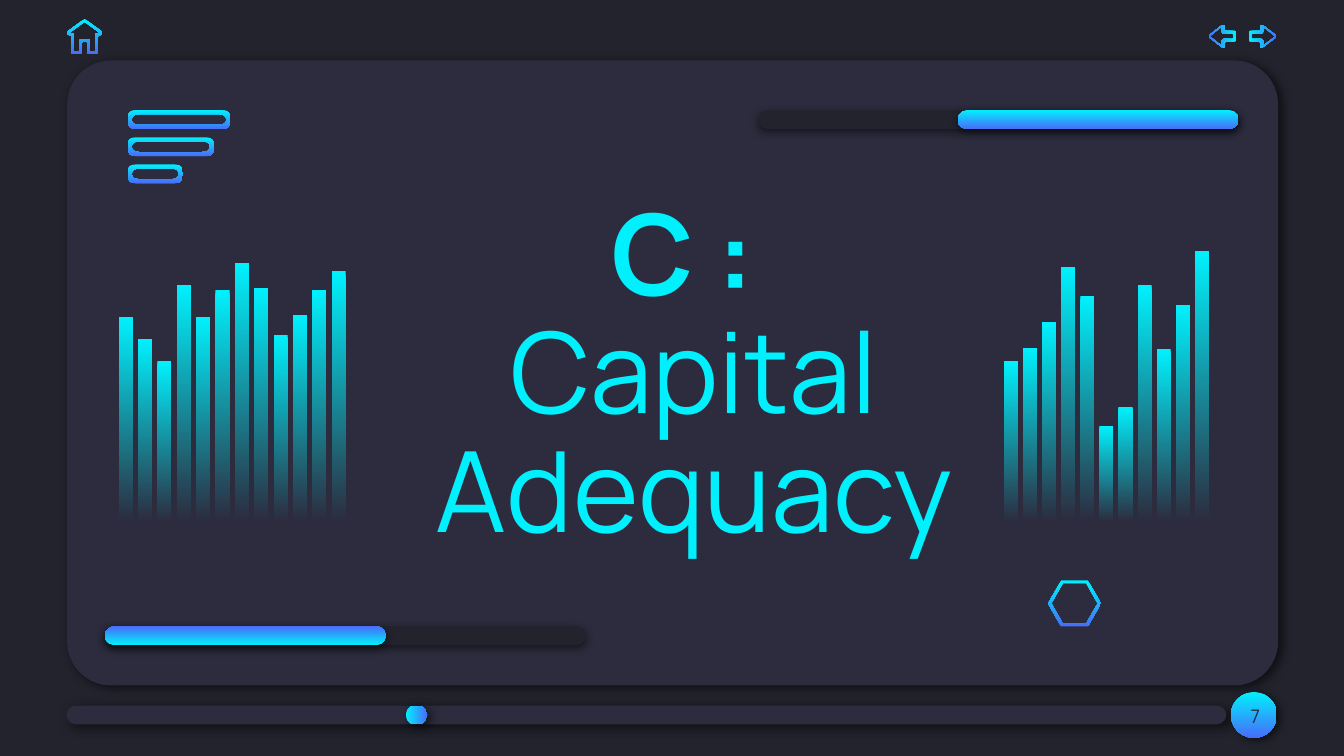
import math

from lxml import etree
from pptx import Presentation
from pptx.dml.color import RGBColor
from pptx.enum import shapes, text
from pptx.oxml.ns import qn
from pptx.util import Inches, Pt

COLUMNS, ROWS = 100, 56.25
CELL = Inches(10) / COLUMNS
NIGHT, PANEL, CYAN, BLUE = "23232E", "2C2C3E", "01F0FD", "476DFA"
FONT = "Manrope"
SOFT = (60, 5.6, 2.2, 33)
BADGE = (60, 4.5, 2.2, 33)
DROP = (50, 4.5, 1.5, 90)
DOWN, UP, RIGHT, LEFT = 270, 90, 0, 180


def cells(count):
    return round(count * CELL)


def color(code):
    return RGBColor.from_string(code)


def rounded(corners, radius, steps=4):
    outline = []
    for i, corner in enumerate(corners):
        ends = []
        for other in (corners[i - 1], corners[(i + 1) % len(corners)]):
            share = min(0.5, radius / math.dist(corner, other))
            ends.append([c + (o - c) * share for c, o in zip(corner, other)])
        for step in range(steps + 1):
            t = step / steps
            outline.append(tuple(
                (1 - t) ** 2 * a + 2 * t * (1 - t) * c + t ** 2 * b
                for a, c, b in zip(ends[0], corner, ends[1])))
    return outline


def box(x, y, width, height):
    return [(x, y), (x + width, y), (x + width, y + height), (x, y + height)]


def mirrored(half, axis):
    return ([(axis + x, y) for x, y in half]
            + [(axis - x, y) for x, y in reversed(half) if x])


class Deck:
    def __init__(self):
        self.deck = Presentation()
        self.deck.slide_width = cells(COLUMNS)
        self.deck.slide_height = cells(ROWS)
        self.slide = self.deck.slides.add_slide(self.deck.slide_layouts[6])
        self.slide.background.fill.solid()
        self.slide.background.fill.fore_color.rgb = color(NIGHT)

    def paint(self, shape, fill, angle=DOWN, shadow=None):
        shape.line.fill.background()
        shape.shadow.inherit = False
        if isinstance(fill, str):
            shape.fill.solid()
            shape.fill.fore_color.rgb = color(fill)
        else:
            shape.fill.gradient()
            shape.fill.gradient_angle = angle
            for stop, code, position in zip(shape.fill.gradient_stops, fill, (0, 1)):
                stop.color.rgb = color(code)
                stop.position = position
        if shadow:
            alpha, blur, distance, direction = shadow
            effects = shape._element.spPr.find(qn("a:effectLst"))
            outer = etree.SubElement(
                effects, qn("a:outerShdw"), blurRad=str(Pt(blur)), dist=str(Pt(distance)),
                dir=str(direction * 60000), algn="bl", rotWithShape="0")
            tint = etree.SubElement(outer, qn("a:srgbClr"), val="000000")
            etree.SubElement(tint, qn("a:alpha"), val=str(alpha * 1000))

    def block(self, kind, place, fill, angle=DOWN, shadow=None, rounding=None):
        shape = self.slide.shapes.add_shape(kind, *map(cells, place))
        if rounding is not None:
            shape.adjustments[0] = rounding
        self.paint(shape, fill, angle, shadow)

    def pill(self, place, fill, angle=DOWN, shadow=DROP):
        self.block(shapes.MSO_SHAPE.ROUNDED_RECTANGLE, place, fill, angle, shadow, 0.5)

    def ring(self, outer, inner, angle=DOWN, radius=0):
        outlines = [rounded(line, radius) if radius else line for line in (outer, inner)]
        outer, inner = [[(cells(x), cells(y)) for x, y in line] for line in outlines]
        builder = self.slide.shapes.build_freeform(*outer[0])
        builder.add_line_segments(outer[1:])
        builder.move_to(*inner[0])
        builder.add_line_segments(inner[1:])
        self.paint(builder.convert_to_shape(), (CYAN, BLUE), angle)

    def equalizer(self, left, step, tops, base=38.82):
        for i, top in enumerate(tops):
            self.block(shapes.MSO_SHAPE.RECTANGLE,
                       (left + i * step, top, 1.05, base - top), (CYAN, PANEL))

    def label(self, place, lines, size, code, spacing=1):
        frame = self.slide.shapes.add_textbox(*map(cells, place)).text_frame
        frame.word_wrap = True
        frame.vertical_anchor = text.MSO_ANCHOR.MIDDLE
        frame.margin_left = frame.margin_right = cells(1)
        frame.margin_top = frame.margin_bottom = cells(1)
        for i, (words, bold) in enumerate(lines):
            paragraph = frame.add_paragraph() if i else frame.paragraphs[0]
            paragraph.text = words
            paragraph.alignment = text.PP_ALIGN.CENTER
            paragraph.line_spacing = spacing
            paragraph.font.name = FONT
            paragraph.font.size = Pt(size)
            paragraph.font.bold = bold
            paragraph.font.color.rgb = color(code)


def main():
    deck = Deck()
    deck.block(shapes.MSO_SHAPE.ROUNDED_RECTANGLE, (5, 4.5, 90.1, 46.5), PANEL,
               shadow=SOFT, rounding=0.07)
    deck.pill((4.95, 52.5, 86.3, 1.4), PANEL, shadow=SOFT)
    deck.block(shapes.MSO_SHAPE.OVAL, (91.6, 51.5, 3.4, 3.4), (CYAN, BLUE), shadow=BADGE)
    deck.label((90.4, 51.1, 6, 4.3), [("7", False)], 10, PANEL)
    deck.label((24.5, 20.1, 54.3, 16.1), [("C : ", True), ("Capital Adequacy", False)],
               60, CYAN, 0.88)

    arrow_outer = [(-0.9, 2.3), (0, 2.3), (0, 1.75), (1.25, 2.7), (0, 3.65), (0, 3.1), (-0.9, 3.1)]
    arrow_inner = [(-0.7, 2.5), (0.2, 2.5), (0.2, 2), (1.1, 2.7), (0.2, 3.4), (0.2, 2.9), (-0.7, 2.9)]
    for axis, side, angle in ((93.8, 1, RIGHT), (91.1, -1, LEFT)):
        outer, inner = [[(axis + side * x, y) for x, y in line]
                        for line in (arrow_outer, arrow_inner)]
        deck.ring(outer, inner, angle, 0.2)

    deck.equalizer(74.7, 1.42, (26.9, 25.9, 24, 19.9, 22, 31.7, 30.3, 21.2, 26, 22.7, 18.7))
    deck.equalizer(8.83, 1.44, (23.6, 25.2, 26.9, 21.2, 23.6, 21.6, 19.6, 21.4,
                                24.9, 23.4, 21.6, 20.2))

    for i, width in enumerate((7.64, 6.42, 4.1)):
        top = 8.2 + i * 2.02
        deck.ring(box(9.5, top, width, 1.4),
                  box(9.8, top + 0.3, width - 0.6, 0.8), radius=0.6)

    hexagons = [[(79.95 + x * reach, 44.9 + y * reach) for x, y in
                 ((1, 0), (0.5, 0.87), (-0.5, 0.87), (-1, 0), (-0.5, -0.87), (0.5, -0.87))]
                for reach in (1.97, 1.73)]
    deck.ring(*hexagons)

    roof_outer = [(0, 1.4), (1.35, 2.4), (1.2, 2.62), (1, 2.62), (1, 4), (0.2, 4), (0.2, 3.1)]
    roof_inner = [(0, 1.63), (1.15, 2.46), (0.82, 2.46), (0.82, 3.82), (0.37, 3.82), (0.37, 2.93)]
    deck.ring(mirrored(roof_outer, 6.3), mirrored(roof_inner, 6.3), radius=0.1)

    deck.pill((30.2, 52.5, 1.6, 1.4), (CYAN, BLUE), RIGHT, SOFT)
    for track, filled, top, angle in ((56.4, 71.25, 8.2, DOWN), (7.8, 7.8, 46.6, UP)):
        deck.pill((track, top, 35.8, 1.4), NIGHT)
        deck.pill((filled, top, 20.9, 1.4), (CYAN, BLUE), angle)
    deck.deck.save("out.pptx")


if __name__ == "__main__":
    main()
